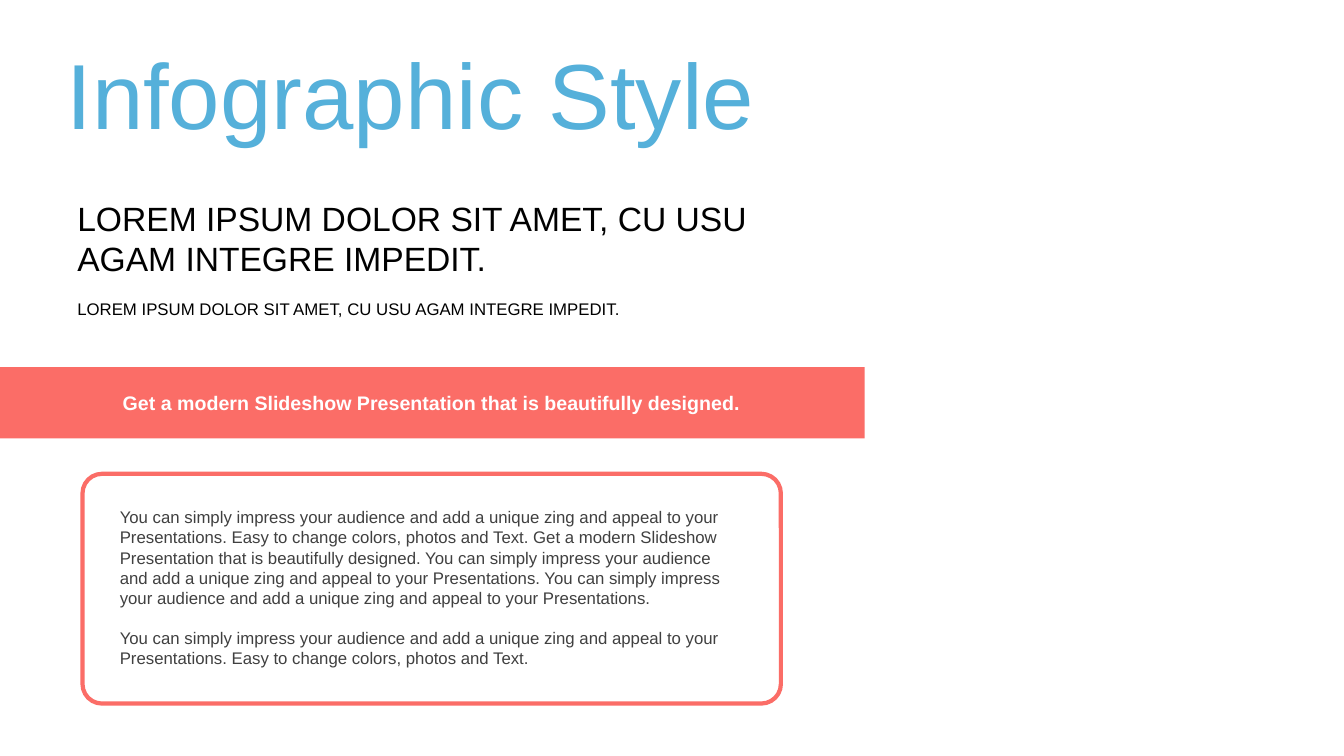
from pptx import Presentation
from pptx.dml.color import RGBColor
from pptx.enum.shapes import MSO_SHAPE
from pptx.enum.text import MSO_ANCHOR, MSO_AUTO_SIZE, PP_ALIGN
from pptx.util import Cm, Pt

BLUE = RGBColor(0x55, 0xB0, 0xDA)
CORAL = RGBColor(0xFB, 0x6D, 0x67)
GREY = RGBColor(0x40, 0x40, 0x40)
BLACK = RGBColor(0, 0, 0)
WHITE = RGBColor(0xFF, 0xFF, 0xFF)

RECTANGLE = MSO_SHAPE.RECTANGLE
ROUNDED = MSO_SHAPE.ROUNDED_RECTANGLE
TOP, MIDDLE = MSO_ANCHOR.TOP, MSO_ANCHOR.MIDDLE
LEFT, CENTER = PP_ALIGN.LEFT, PP_ALIGN.CENTER
NO_FIT = MSO_AUTO_SIZE.NONE
GROW = MSO_AUTO_SIZE.SHAPE_TO_FIT_TEXT

TITLE_ONLY = 5
FONT = "Arial"
PARAGRAPH_GAP = Pt(14)

SLOGAN = "Get a modern Slideshow Presentation that is beautifully designed."
LOREM = "LOREM IPSUM DOLOR SIT AMET, CU USU AGAM INTEGRE IMPEDIT."
IMPRESS = ("You can simply impress your audience and add a unique zing "
           "and appeal to your Presentations.")
EASY = "Easy to change colors, photos and Text."
BODY = [f"{IMPRESS} {EASY} {SLOGAN} {IMPRESS} {IMPRESS}", f"{IMPRESS} {EASY}"]


def write(frame, texts, size, color, bold=False, align=LEFT):
    """Write one paragraph per text into a text frame."""
    for index, text in enumerate(texts):
        paragraph = frame.add_paragraph() if index else frame.paragraphs[0]
        paragraph.alignment = align
        if index:
            paragraph.space_before = PARAGRAPH_GAP
        run = paragraph.add_run()
        run.text = text
        run.font.name = FONT
        run.font.size = Pt(size)
        run.font.bold = bold
        run.font.color.rgb = color


def set_title(slide, text):
    """Place and format the title placeholder."""
    title = slide.shapes.title
    title.left, title.top = Cm(1.42), Cm(1.52)
    title.width, title.height = Cm(18.57), Cm(1.98)
    frame = title.text_frame
    frame.word_wrap = True
    frame.auto_size = NO_FIT
    frame.vertical_anchor = MIDDLE
    write(frame, [text], 66, BLUE)
    frame.paragraphs[0].line_spacing = 0.9


def add_text(slide, box, texts, size, color, anchor=TOP, **style):
    """Add a wrapping text box; box is left, top, width, height in cm."""
    frame = slide.shapes.add_textbox(*map(Cm, box)).text_frame
    frame.word_wrap = True
    frame.auto_size = GROW
    frame.vertical_anchor = anchor
    write(frame, texts, size, color, **style)


def add_panel(slide, kind, box):
    """Add a shape without shadow; box is left, top, width, height in cm."""
    shape = slide.shapes.add_shape(kind, *map(Cm, box))
    shape.shadow.inherit = False
    return shape


def add_band(slide, box):
    """Add a filled band without outline."""
    band = add_panel(slide, RECTANGLE, box)
    band.fill.solid()
    band.fill.fore_color.rgb = CORAL
    band.line.fill.background()


def add_frame(slide, box):
    """Add an unfilled rounded frame."""
    frame = add_panel(slide, ROUNDED, box)
    frame.adjustments[0] = 0.085
    frame.fill.background()
    frame.line.color.rgb = CORAL
    frame.line.width = Pt(3)


def main():
    """Build the slide and save it."""
    presentation = Presentation()
    presentation.slide_width, presentation.slide_height = Cm(33.87), Cm(19.05)
    slide = presentation.slides.add_slide(presentation.slide_layouts[TITLE_ONLY])
    set_title(slide, "Infographic Style")
    add_band(slide, (0, 9.25, 21.79, 1.8))
    add_frame(slide, (2.08, 11.94, 17.6, 5.79))
    add_text(slide, (2.77, 12.65, 16.23, 4.37), BODY, 12, GREY)
    add_text(slide, (2.08, 9.73, 17.6, 0.86), [SLOGAN], 14, WHITE,
             bold=True, align=CENTER)
    add_text(slide, (1.7, 7.39, 18.01, 0.76), [LOREM], 12, BLACK, MIDDLE)
    add_text(slide, (1.7, 4.85, 18.01, 2.31), [LOREM], 24, BLACK, MIDDLE)
    presentation.save("out.pptx")


if __name__ == "__main__":
    main()
